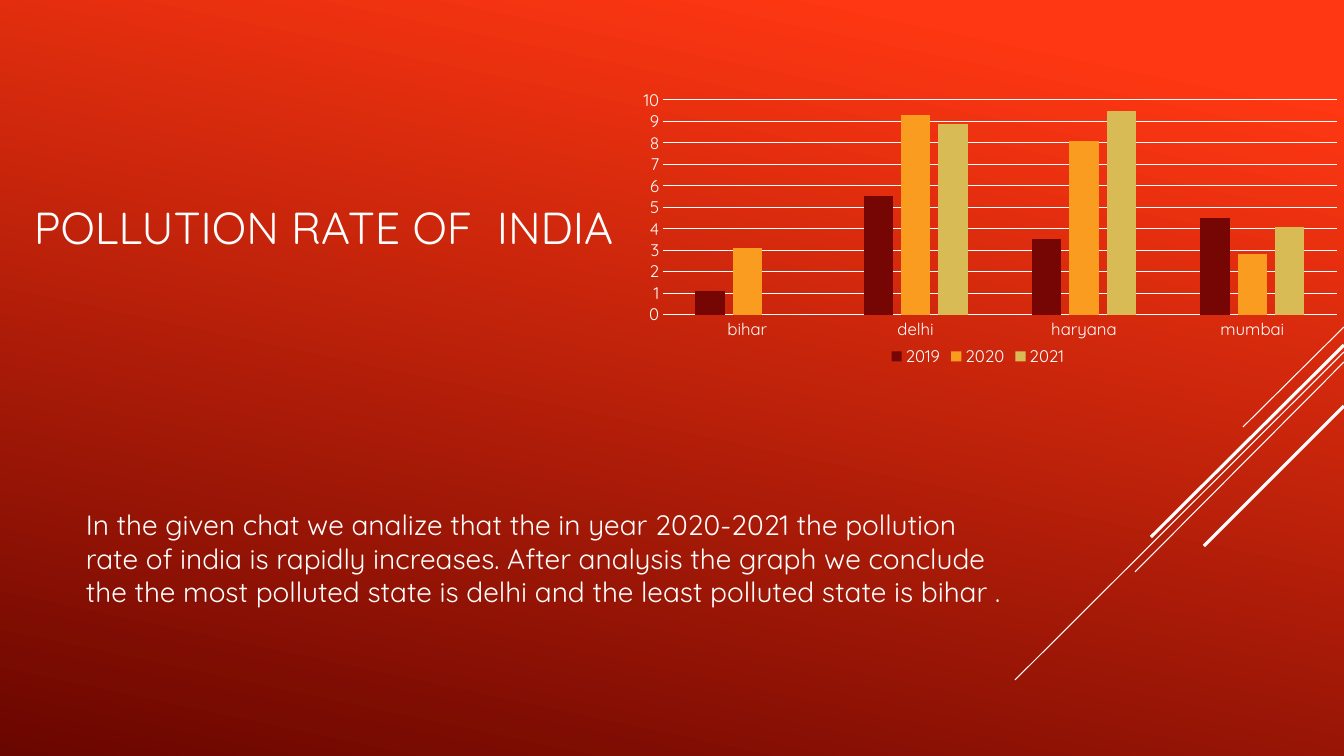
from dataclasses import dataclass

from lxml import etree
from pptx import Presentation
from pptx.chart.data import CategoryChartData
from pptx.dml.color import RGBColor
from pptx.enum.chart import XL_CHART_TYPE, XL_LEGEND_POSITION, XL_TICK_MARK
from pptx.enum.shapes import MSO_CONNECTOR
from pptx.enum.text import MSO_ANCHOR
from pptx.oxml import parse_xml
from pptx.oxml.ns import nsdecls, qn
from pptx.slide import Slide
from pptx.util import Emu, Pt

EMU_PER_PIXEL = 12192000 / 1344


@dataclass(frozen=True)
class Theme:
    """Colours, font and type sizes of the slide."""
    font: str = "Quicksand"
    ink: RGBColor = RGBColor(0xFF, 0xFF, 0xFF)
    glow: RGBColor = RGBColor(0xFF, 0x37, 0x12)
    depth: RGBColor = RGBColor(0x6A, 0x06, 0x00)
    maroon: RGBColor = RGBColor(0x76, 0x06, 0x03)
    orange: RGBColor = RGBColor(0xFA, 0x9C, 0x1F)
    sand: RGBColor = RGBColor(0xD9, 0xBB, 0x55)
    title: int = 32
    body: int = 20
    chart: int = 12
    thin: float = 0.75
    thick: float = 2.25


THEME = Theme()


@dataclass(frozen=True)
class Box:
    """A rectangle in pixels."""
    left: int
    top: int
    width: int
    height: int

    def emu(self) -> tuple[Emu, Emu, Emu, Emu]:
        """Return the rectangle in EMU."""
        return px(self.left), px(self.top), px(self.width), px(self.height)


@dataclass(frozen=True)
class TextBlock:
    """One paragraph in its box."""
    box: Box
    text: str
    size: int
    before: int = 0
    after: int = 0


@dataclass(frozen=True)
class Streak:
    """A diagonal running down from the right edge."""
    start_y: int
    end_x: int
    end_y: int
    weight: float = THEME.thin


@dataclass(frozen=True)
class YearSeries:
    """Pollution values of one year, by place."""
    year: str
    values: tuple[float, ...]
    color: RGBColor


WIDTH, HEIGHT = 1344, 756
STREAKS = (
    Streak(327, 1243, 427),
    Streak(352, 1015, 680),
    Streak(362, 1135, 572),
    Streak(345, 1151, 537, THEME.thick),
    Streak(406, 1204, 546, THEME.thick),
)
TEXTS = (
    TextBlock(Box(24, 76, 1160, 302), "POLLUTION RATE OF  INDIA", THEME.title),
    TextBlock(
        Box(76, 454, 941, 208),
        "In the given chat we analize that the in year 2020-2021 the pollution "
        "rate of india is rapidly increases. After analysis the graph we conclude "
        "the the most polluted state is delhi and the least polluted state is bihar .",
        THEME.body, before=4, after=6),
)
CHART_BOX = Box(612, 19, 732, 352)
PLOT = {"x": 0.07, "y": 0.23, "w": 0.92, "h": 0.61}
PLACES = ("bihar", "delhi", "haryana", "mumbai")
YEARS = (
    YearSeries("2019", (1.1, 5.5, 3.5, 4.5), THEME.maroon),
    YearSeries("2020", (3.1, 9.3, 8.1, 2.8), THEME.orange),
    YearSeries("2021", (0, 8.9, 9.5, 4.1), THEME.sand),
)


def px(pixels: int) -> Emu:
    """Convert pixels to EMU."""
    return Emu(round(pixels * EMU_PER_PIXEL))


def style_font(font, size: int) -> None:
    """Apply the theme's font and ink at the given size."""
    font.name, font.size = THEME.font, Pt(size)
    font.color.rgb = THEME.ink


def style_line(line, weight: float = THEME.thin) -> None:
    """Draw a line in the theme's ink."""
    line.color.rgb = THEME.ink
    line.width = Pt(weight)


def paint_background(slide: Slide) -> None:
    """Fill the background with the red gradient."""
    fill = slide.background.fill
    fill.gradient()
    fill.gradient_angle = 258
    stops = ((0.1, THEME.glow), (1.0, THEME.depth))
    for stop, (position, color) in zip(fill.gradient_stops, stops):
        stop.position = position
        stop.color.rgb = color


def add_streak(slide: Slide, streak: Streak) -> None:
    """Draw one diagonal without a shadow."""
    connector = slide.shapes.add_connector(
        MSO_CONNECTOR.STRAIGHT, px(WIDTH), px(streak.start_y),
        px(streak.end_x), px(streak.end_y))
    style_line(connector.line, streak.weight)
    etree.SubElement(connector.element.spPr, qn("a:effectLst"))


def add_text(slide: Slide, block: TextBlock) -> None:
    """Place one wrapped, vertically centred paragraph."""
    frame = slide.shapes.add_textbox(*block.box.emu()).text_frame
    frame.word_wrap = True
    frame.vertical_anchor = MSO_ANCHOR.MIDDLE
    paragraph = frame.paragraphs[0]
    paragraph.space_before, paragraph.space_after = Pt(block.before), Pt(block.after)
    run = paragraph.add_run()
    run.text = block.text
    style_font(run.font, block.size)


def set_plot_layout(chart) -> None:
    """Fix the inner plot area as fractions of the chart."""
    area = chart.element.find(".//" + qn("c:plotArea"))
    for layout in area.findall(qn("c:layout")):
        area.remove(layout)
    modes = "".join(f'<c:{side}Mode val="edge"/>' for side in "xy")
    sizes = "".join(f'<c:{side} val="{value}"/>' for side, value in PLOT.items())
    area.insert(0, parse_xml(
        f'<c:layout {nsdecls("c")}><c:manualLayout><c:layoutTarget val="inner"/>'
        f"{modes}{sizes}</c:manualLayout></c:layout>"))


def add_pollution_chart(slide: Slide) -> None:
    """Draw the clustered columns by place and year."""
    data = CategoryChartData()
    data.categories = PLACES
    for series in YEARS:
        data.add_series(series.year, series.values)
    chart = slide.shapes.add_chart(
        XL_CHART_TYPE.COLUMN_CLUSTERED, *CHART_BOX.emu(), data).chart
    style_font(chart.font, THEME.chart)
    chart.has_title = False
    set_plot_layout(chart)

    plot = chart.plots[0]
    plot.vary_by_categories = False
    plot.gap_width, plot.overlap = 219, -27
    for drawn, series in zip(plot.series, YEARS):
        drawn.format.fill.solid()
        drawn.format.fill.fore_color.rgb = series.color

    places, values = chart.category_axis, chart.value_axis
    for axis in (places, values):
        axis.major_tick_mark = axis.minor_tick_mark = XL_TICK_MARK.NONE
        style_font(axis.tick_labels.font, THEME.chart)
    style_line(places.format.line)
    values.format.line.fill.background()
    values.minimum_scale, values.maximum_scale, values.major_unit = 0, 10, 1
    style_line(values.major_gridlines.format.line)

    chart.has_legend = True
    chart.legend.position = XL_LEGEND_POSITION.BOTTOM
    chart.legend.include_in_layout = False
    style_font(chart.legend.font, THEME.chart)


def main() -> None:
    """Build and save the slide."""
    deck = Presentation()
    deck.slide_width, deck.slide_height = px(WIDTH), px(HEIGHT)
    slide = deck.slides.add_slide(deck.slide_layouts[6])
    paint_background(slide)
    for streak in STREAKS:
        add_streak(slide, streak)
    for block in TEXTS:
        add_text(slide, block)
    add_pollution_chart(slide)
    deck.save("out.pptx")


main()
